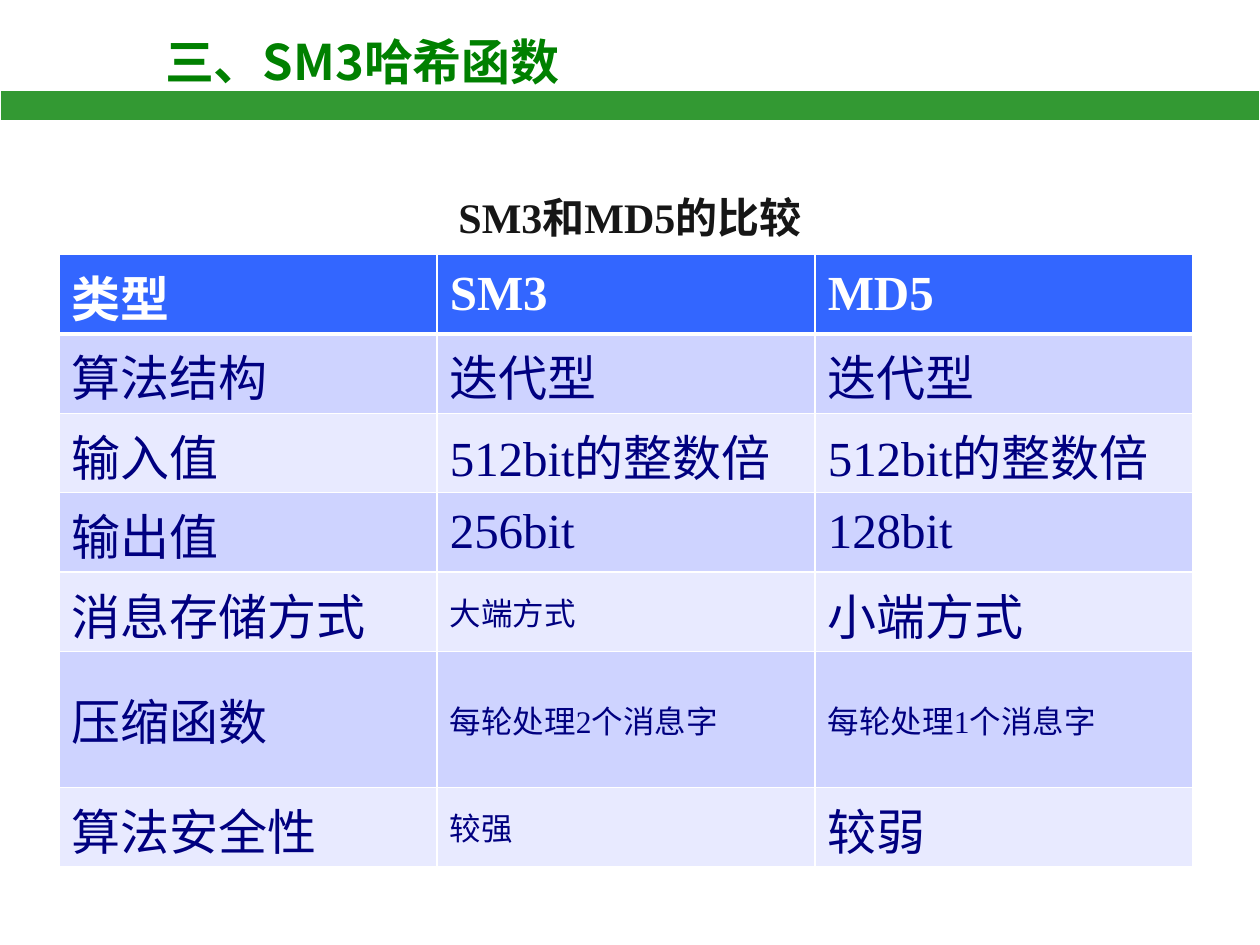
"""Build the slide that compares the SM3 and MD5 hash functions."""
from typing import NamedTuple

from lxml.etree import SubElement
from pptx import Presentation
from pptx.dml.color import RGBColor
from pptx.enum.shapes import MSO_SHAPE as Shape
from pptx.enum.text import MSO_ANCHOR as Anchor, PP_ALIGN as Align
from pptx.oxml.ns import qn
from pptx.util import Inches, Pt

GREEN = RGBColor(0x00, 0x80, 0x00)
BAR_GREEN = RGBColor(0x33, 0x99, 0x33)
BLUE = RGBColor(0x33, 0x66, 0xFF)
NAVY = RGBColor(0x00, 0x00, 0x80)
DARK_BAND = RGBColor(0xCE, 0xD3, 0xFF)
LIGHT_BAND = RGBColor(0xE8, 0xEA, 0xFF)
BLACK = RGBColor(0x16, 0x16, 0x16)
WHITE = RGBColor(0xFF, 0xFF, 0xFF)
SANS = "Noto Sans CJK SC"
SERIF = "Times New Roman"


class Row(NamedTuple):
    """One line of the comparison, with the text size of each column."""
    texts: tuple[str, str, str]
    sizes: tuple[int, int, int] = (28, 28, 28)
    height: float = 0.63


ROWS = [
    Row(("类型", "SM3", "MD5")),
    Row(("算法结构", "迭代型", "迭代型")),
    Row(("输入值", "512bit的整数倍", "512bit的整数倍")),
    Row(("输出值", "256bit", "128bit")),
    Row(("消息存储方式", "大端方式", "小端方式"), (28, 18, 28)),
    Row(("压缩函数", "每轮处理2个消息字", "每轮处理1个消息字"), (28, 18, 18), 1.08),
    Row(("算法安全性", "较强", "较弱"), (28, 18, 28)),
]


def write_text(frame, text: str, *, size: int, color: RGBColor, font: str = SERIF,
               bold: bool = False, align=Align.LEFT, line_spacing: float = 1.0) -> None:
    """Write one formatted paragraph into a text frame."""
    paragraph = frame.paragraphs[0]
    paragraph.alignment = align
    paragraph.line_spacing = line_spacing
    paragraph.space_before = Pt(0)
    run = paragraph.add_run()
    run.text = text
    run.font.size = Pt(size)
    run.font.bold = bold
    run.font.name = font
    run.font.color.rgb = color
    SubElement(run.font._element, qn("a:ea"), typeface=SANS)


def set_borders(cell, top: float, bottom: float) -> None:
    """Give a cell white borders, with widths in points."""
    properties = cell._tc.get_or_add_tcPr()
    widths = {"a:lnL": 1, "a:lnR": 1, "a:lnT": top, "a:lnB": bottom}
    for position, (tag, width) in enumerate(widths.items()):
        line = properties.makeelement(qn(tag), {"w": str(Pt(width))})
        fill = SubElement(line, qn("a:solidFill"))
        SubElement(fill, qn("a:srgbClr"), val=str(WHITE))
        properties.insert(position, line)


def add_title(slide) -> None:
    """Place the title and the green bar below it."""
    title = slide.shapes.title
    title.left, title.top = Inches(1.21), Inches(0.2)
    title.width, title.height = Inches(4.47), Inches(0.57)
    title.text_frame.vertical_anchor = Anchor.TOP
    title.text_frame.word_wrap = False
    write_text(title.text_frame, "三、SM3哈希函数", size=28, color=GREEN, font=SANS, bold=True)

    bar = slide.shapes.add_shape(Shape.RECTANGLE, 0, Inches(0.72), Inches(10), Inches(0.24))
    bar.shadow.inherit = False
    bar.fill.solid()
    bar.fill.fore_color.rgb = BAR_GREEN
    bar.line.color.rgb = WHITE
    bar.line.width = Pt(0.75)


def add_caption(slide) -> None:
    """Place the centred caption above the table."""
    caption = slide.shapes.add_textbox(Inches(0.5), Inches(1.39), Inches(9), Inches(5.28))
    caption.text_frame.word_wrap = True
    write_text(caption.text_frame, "SM3和MD5的比较", size=24, color=BLACK, bold=True,
               align=Align.CENTER, line_spacing=1.2)


def add_comparison(slide) -> None:
    """Place the comparison table."""
    height = sum(row.height for row in ROWS)
    table = slide.shapes.add_table(len(ROWS), 3, Inches(0.47), Inches(2.02),
                                   Inches(9), Inches(height)).table
    for row_index, row in enumerate(ROWS):
        table.rows[row_index].height = Inches(row.height)
        header = row_index == 0
        band = DARK_BAND if row_index % 2 else LIGHT_BAND
        for column_index, (text, size) in enumerate(zip(row.texts, row.sizes)):
            cell = table.cell(row_index, column_index)
            cell.vertical_anchor = Anchor.MIDDLE
            cell.fill.solid()
            cell.fill.fore_color.rgb = BLUE if header else band
            set_borders(cell, top=3 if row_index == 1 else 1, bottom=3 if header else 1)
            write_text(cell.text_frame, text, size=size, color=WHITE if header else NAVY,
                       bold=header)


def main() -> None:
    """Build and save the presentation."""
    presentation = Presentation()
    presentation.slide_width, presentation.slide_height = Inches(10), Inches(7.5)
    slide = presentation.slides.add_slide(presentation.slide_layouts[5])
    add_title(slide)
    add_caption(slide)
    add_comparison(slide)
    presentation.save("out.pptx")


if __name__ == "__main__":
    main()
